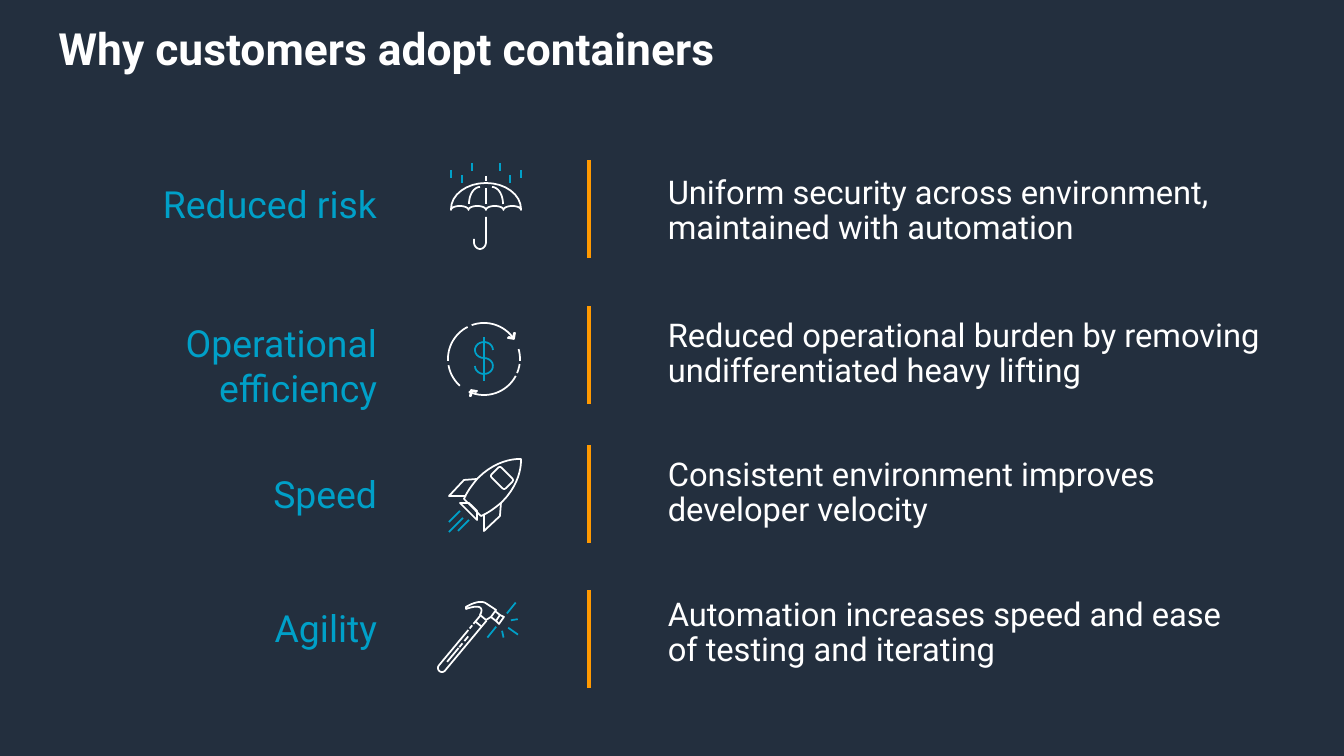
import collections
import math
import pptx
import pptx.util
import pptx.dml.color
import pptx.enum.shapes
import pptx.enum.text
import pptx.oxml.xmlchemy

SCALE = 914400 / 84
FONT = "Roboto"
NAVY, WHITE, BLUE, GOLD = "232F3E", "FFFFFF", "00A0C8", "FF9900"
THIN, THICK = 1.5, 3
ALIGN = pptx.enum.text.PP_ALIGN
FIT = pptx.enum.text.MSO_AUTO_SIZE
SHAPE = pptx.enum.shapes.MSO_SHAPE
STRAIGHT = pptx.enum.shapes.MSO_CONNECTOR.STRAIGHT

Label = collections.namedtuple("Label", "lines top height space")
Detail = collections.namedtuple("Detail", "text top width")


def px(num):
    return pptx.util.Emu(round(num * SCALE))


def hue(code):
    return pptx.dml.color.RGBColor.from_string(code)


def write(para, text, size, code, bold=False):
    run = para.add_run()
    run.text = text
    run.font.name = FONT
    run.font.size = pptx.util.Pt(size)
    run.font.bold = bold
    run.font.color.rgb = hue(code)


def add_text(slide, box, lines, size, code, align, space):
    frame = slide.shapes.add_textbox(*map(px, box)).text_frame
    frame.word_wrap = True
    frame.auto_size = FIT.SHAPE_TO_FIT_TEXT
    frame.margin_left = frame.margin_right = pptx.util.Inches(0.2)
    frame.margin_top = frame.margin_bottom = pptx.util.Inches(0.16)
    para = frame.paragraphs[0]
    para.alignment = align
    para.line_spacing = space
    for rank, line in enumerate(lines):
        if rank:
            para.add_line_break()
        write(para, line, size, code)


def add_line(shapes, start, end, code=WHITE, width=THIN):
    line = shapes.add_connector(STRAIGHT, *map(px, (*start, *end)))
    line.line.color.rgb = hue(code)
    line.line.width = pptx.util.Pt(width)
    line._element.spPr.append(pptx.oxml.xmlchemy.OxmlElement("a:effectLst"))


def style(shape, code, fill=None):
    shape.shadow.inherit = False
    if fill:
        shape.fill.solid()
        shape.fill.fore_color.rgb = hue(fill)
    else:
        shape.fill.background()
    shape.line.color.rgb = hue(code)
    shape.line.width = pptx.util.Pt(THIN)


def add_path(shapes, points, code=WHITE, close=False, fill=None):
    spots = [(px(x), px(y)) for x, y in points]
    pen = shapes.build_freeform(*spots[0], scale=1.0)
    pen.add_line_segments(spots[1:], close=close)
    style(pen.convert_to_shape(), code, fill)


def arc(center, radii, start, end, steps=16):
    turns = [math.radians(start + (end - start) * n / steps) for n in range(steps + 1)]
    return [(center[0] + radii[0] * math.cos(turn),
             center[1] + radii[1] * math.sin(turn)) for turn in turns]


def bend(start, pull, push, end, steps=12):
    points = []
    for step in range(steps + 1):
        t = step / steps
        u = 1 - t
        points.append(tuple(
            u ** 3 * a + 3 * u * u * t * b + 3 * u * t * t * c + t ** 3 * d
            for a, b, c, d in zip(start, pull, push, end)))
    return points


def umbrella(shapes):
    mid, rim = 486, 209
    half, arches = 35, 4
    span = 2 * half / arches
    canopy = arc((mid, rim), (half, 26), 180, 360)
    for rank in range(arches):
        center = (mid + half - span * (rank + 0.5), rim + 1)
        canopy += arc(center, (span / 2, 4), 360, 180)
    add_path(shapes, canopy, close=True)
    for side, end in ((-1, 180), (1, 360)):
        add_path(shapes, arc((mid + side * 6, 204), (11, 17), 270, end))
        for gap, top in ((35, 170), (24, 175), (14, 163)):
            x = mid + side * gap
            add_line(shapes, (x, top), (x, top + 8), BLUE)
    for top, end in ((176, 181), (188, 204)):
        add_line(shapes, (mid, top), (mid, end))
    hook = arc((mid - 6, 242), (6, 7), 0, 180)
    add_path(shapes, [(mid, 217)] + hook + [(mid - 12, 239)])


def money(shapes):
    mid = (484, 359)
    gaps = ((132, 170), (177, 243), (250, 325), (344, 363), (8, 23), (28, 115))
    for start, end in gaps:
        add_path(shapes, arc(mid, (36, 36), start, end))
    tip = [(515, 333), (514, 333), (513, 338), (509, 337), (508, 338), (514, 339)]
    turned = [(985 - x, 729 - y) for x, y in tip]
    for head in (tip, turned):
        add_path(shapes, head, close=True, fill=NAVY)
    bowl = (9, 8)
    lower = arc((mid[0], 366), bowl, 180, -90)
    upper = arc((mid[0], 350), bowl, 90, 360)
    add_path(shapes, lower + upper, BLUE)
    add_line(shapes, (mid[0], 337), (mid[0], 381), BLUE)


def rocket(shapes):
    def mirror(points):
        return [(980 - y, 980 - x) for x, y in points]

    nose, waist, tail = (521, 459), (502, 502), (481, 516)
    side = bend(tail, (491, 512), waist, waist) + bend(waist, (523, 481), nose, nose)
    add_path(shapes, side + mirror(side)[::-1], close=True)
    nozzle = [(469, 503), (460, 503)]
    add_path(shapes, nozzle + mirror(nozzle)[::-1], close=True)
    fin = [(477, 479), (464, 480), (449, 496), (466, 496)]
    flame = [(460, 511), (449, 522)]
    for flip in (list, mirror):
        add_path(shapes, flip(fin))
        add_line(shapes, *flip(flame), BLUE)
    add_line(shapes, (463, 518), (449, 532), BLUE)
    long, short = 20, 14
    box = (502 - long / 2, 478 - short / 2, long, short)
    window = shapes.add_shape(SHAPE.ROUNDED_RECTANGLE, *map(px, box))
    window.rotation = 45
    style(window, WHITE)


def hammer(shapes):
    def along(points):
        return [(442 + 0.64 * a + 0.77 * b, 668 - 0.77 * a + 0.64 * b)
                for a, b in points]

    edge = 4
    grip = arc((0, 0), (edge, edge), 270, 90)
    add_path(shapes, along([(46, -edge)] + grip + [(65, edge)]))
    dashes = {-edge: ((48, 52), (54, 66)), 0: ((8, 26), (27, 32), (35, 41))}
    for offset, spans in dashes.items():
        for start, end in spans:
            add_line(shapes, *along([(start, offset), (end, offset)]))
    add_line(shapes, *along([(57, -edge), (57, edge)]))
    brow = bend((466, 607), (466, 607), (480, 598), (487, 604))
    throat = bend((480, 615), (483, 610), (483, 603), (466, 609))
    claw = throat + brow + [(496, 610), (491, 617), (486, 620)]
    add_path(shapes, claw, close=True)
    face = [(496, 621), (499, 624), (504, 617), (500, 615)]
    add_path(shapes, face, close=True)
    for start, end in (((495, 611), face[3]), ((491, 617), face[0])):
        add_line(shapes, start, end)
    hit = (500, 622)
    for turn, inner, outer in ((-51, 11, 25), (-9, 11, 18), (35, 10, 22),
                               (77, 9, 16), (129, 6, 20)):
        ends = [arc(hit, (r, r), turn, turn, 1)[0] for r in (inner, outer)]
        add_line(shapes, *ends, BLUE)


def set_title(slide, text):
    title = slide.shapes.title
    title.left, title.top, title.width, title.height = map(px, (50, 17, 1242, 83))
    frame = title.text_frame
    frame.auto_size = FIT.NONE
    frame.vertical_anchor = pptx.enum.text.MSO_ANCHOR.TOP
    para = frame.paragraphs[0]
    para.alignment = ALIGN.LEFT
    write(para, text, 38, WHITE, True)


def add_row(slide, label, detail, bar, icon):
    add_text(slide, (144, label.top, 250, label.height), label.lines,
             32, BLUE, ALIGN.RIGHT, label.space)
    add_text(slide, (651, detail.top, detail.width, 98), [detail.text],
             28, WHITE, ALIGN.LEFT, 0.9)
    add_line(slide.shapes, (589, bar), (589, bar + 98), GOLD, THICK)
    icon(slide.shapes.add_group_shape().shapes)


ROWS = [
    (Label(["Reduced risk"], 173, 68, 0.9),
     Detail("Uniform security across environment, maintained with automation", 163, 614),
     160, umbrella),
    (Label(["Operational", "efficiency"], 307, 118, 1.0),
     Detail("Reduced operational burden by removing undifferentiated heavy lifting",
            306, 633),
     306, money),
    (Label(["Speed"], 463, 68, 0.9),
     Detail("Consistent environment improves developer velocity", 445, 614),
     445, rocket),
    (Label(["Agility"], 592, 72, 1.0),
     Detail("Automation increases speed and ease of testing and iterating", 585, 614),
     590, hammer),
]


def main():
    deck = pptx.Presentation()
    deck.slide_width, deck.slide_height = px(1344), px(756)
    slide = deck.slides.add_slide(deck.slide_layouts[5])
    slide.background.fill.solid()
    slide.background.fill.fore_color.rgb = hue(NAVY)
    set_title(slide, "Why customers adopt containers")
    for row in ROWS:
        add_row(slide, *row)
    deck.save("out.pptx")


if __name__ == "__main__":
    main()
